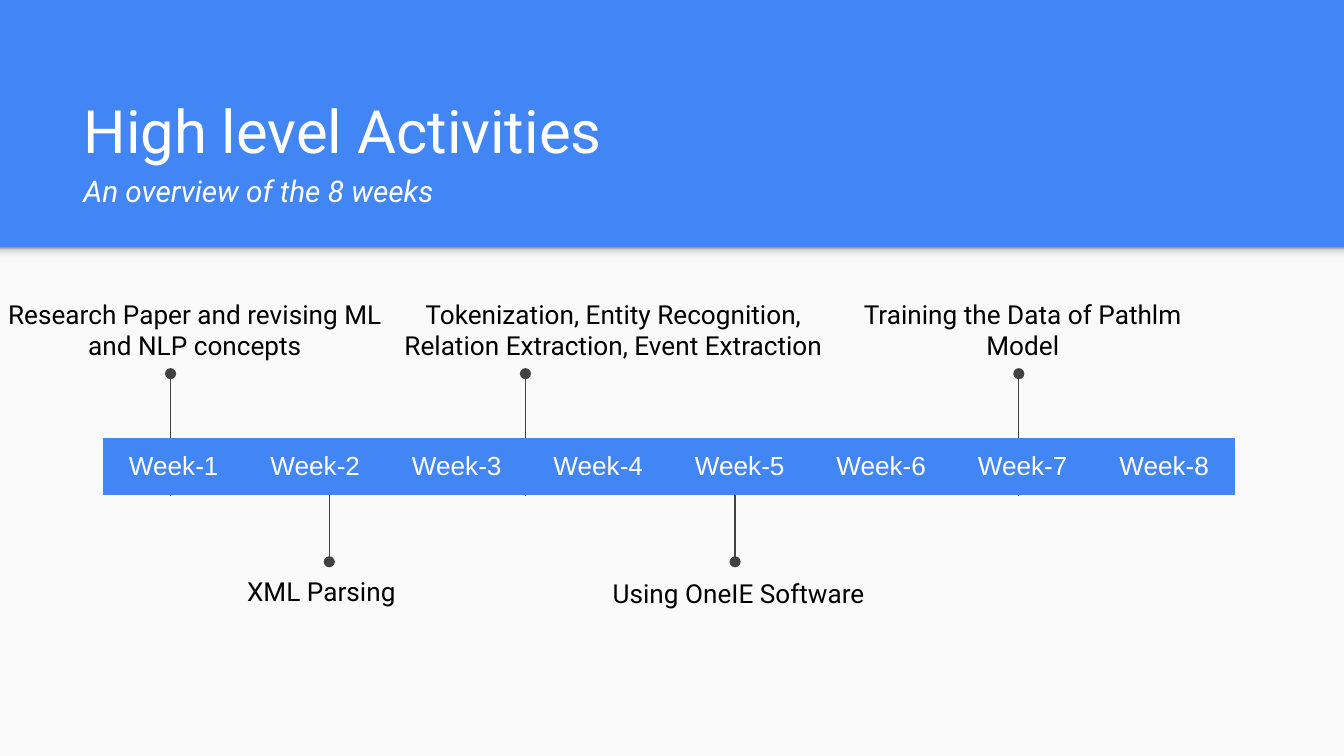
"""Build a slide with an eight-week timeline of high level activities."""
from dataclasses import dataclass

from lxml.etree import SubElement
from pptx import Presentation
from pptx.dml.color import RGBColor as Rgb
from pptx.enum.shapes import MSO_CONNECTOR as Conn, MSO_SHAPE as Kind
from pptx.enum.text import MSO_ANCHOR as Anchor, MSO_AUTO_SIZE as Fit, PP_ALIGN as Align
from pptx.oxml.ns import qn
from pptx.util import Pt

HUES = {"blue": "4285F4", "pale": "FAFAFA", "white": "FFFFFF", "black": "000000", "gray": "424242"}
SHADE = [(0, "F9F9F9"), (36, "F9F9F9"), (80, "DEDEDE"), (100, "999999")]
WIDE, HIGH, EDGE = 720, 405, 132.5
WEEKS, STEP, LEFT, TOP, ROW = 8, 75.8, 55.2, 234.7, 30.5
ABOVE, BELOW = (265.7, 200.2), (TOP, 301)


@dataclass
class Event:
    text: str
    x: float
    ends: tuple[float, float]
    box: tuple[float, float, float, float]
    align: Align = Align.CENTER


EVENTS = [
    Event("Research Paper and revising ML\nand NLP concepts", 91.4, ABOVE, (-18.7, 152.6, 246.2, 48)),
    Event("XML Parsing", 176.4, BELOW, (125.3, 301, 102.2, 31.7), Align.LEFT),
    Event("Tokenization, Entity Recognition, Relation Extraction, Event Extraction",
          281.5, ABOVE, (203, 152.6, 251.3, 48)),
    Event("Using OneIE Software", 393.8, BELOW, (321.1, 302, 164.9, 31.7), Align.LEFT),
    Event("Training the Data of Pathlm Model", 545.8, ABOVE, (442.1, 152.6, 211.7, 48)),
]


def hue(name: str) -> Rgb:
    return Rgb.from_string(HUES[name])


def style(para, size: float, color: str, align: Align, face: str = "Roboto") -> None:
    para.alignment = align
    para.font.size, para.font.name = Pt(size), face
    para.font.color.rgb = hue(color)


def pad(frame) -> None:
    frame.margin_left = frame.margin_right = Pt(7.2)
    frame.margin_top = frame.margin_bottom = Pt(7.2)


def draw_panel(slide) -> None:
    panel, shade = (
        slide.shapes.add_shape(Kind.RECTANGLE, 0, Pt(EDGE), Pt(WIDE), Pt(high))
        for high in (HIGH - EDGE, 8.6)
    )
    for shape in (panel, shade):
        shape.shadow.inherit = False
        shape.line.fill.background()
    panel.fill.solid()
    panel.fill.fore_color.rgb = hue("pale")
    shade.fill.gradient()
    shade.fill.gradient_angle = 90
    stops = shade.element.spPr.find(".//" + qn("a:gsLst"))
    for stop in list(stops):
        stops.remove(stop)
    for place, color in SHADE:
        stop = SubElement(stops, qn("a:gs"), pos=str(place * 1000))
        SubElement(stop, qn("a:srgbClr"), val=color)


def draw_title(slide) -> None:
    title = slide.shapes.title
    title.left, title.top, title.width, title.height = map(Pt, (37.5, 58.3, 647.3, 60.5))
    frame = title.text_frame
    frame.text = "High level Activities\nAn overview of the 8 weeks"
    frame.auto_size, frame.vertical_anchor = Fit.NONE, Anchor.BOTTOM
    pad(frame)
    head, sub = frame.paragraphs
    style(head, 32, "white", Align.LEFT)
    style(sub, 16, "white", Align.LEFT)
    sub.font.italic = True
    sub.space_before = sub.space_after = Pt(4)


def draw_line(slide, event: Event) -> None:
    start, end = event.ends
    line = slide.shapes.add_connector(Conn.STRAIGHT, Pt(event.x), Pt(start), Pt(event.x), Pt(end))
    line.line.color.rgb = hue("gray")
    line.line.width = Pt(0.75)
    props = line.element.spPr
    SubElement(props.find(qn("a:ln")), qn("a:tailEnd"), type="oval")
    SubElement(props, qn("a:effectLst"))


def draw_weeks(slide) -> None:
    table = slide.shapes.add_table(1, WEEKS, Pt(LEFT), Pt(TOP), Pt(STEP * WEEKS), Pt(ROW)).table
    for num, cell in enumerate(table.iter_cells(), 1):
        cell.text = f"Week-{num}"
        cell.fill.solid()
        cell.fill.fore_color.rgb = hue("blue")
        pad(cell)
        para = cell.text_frame.paragraphs[0]
        style(para, 14, "white", Align.CENTER, "Arial")
        para.font.bold = False
        for side in ("a:lnL", "a:lnR", "a:lnT", "a:lnB"):
            edge = cell._tc.tcPr.makeelement(qn(side), {"w": "0"})
            SubElement(edge, qn("a:noFill"))
            cell._tc.tcPr.find(qn("a:solidFill")).addprevious(edge)


def draw_label(slide, event: Event) -> None:
    frame = slide.shapes.add_textbox(*map(Pt, event.box)).text_frame
    frame.text = event.text
    frame.word_wrap, frame.auto_size = True, Fit.SHAPE_TO_FIT_TEXT
    pad(frame)
    for para in frame.paragraphs:
        style(para, 14, "black", event.align)


def main() -> None:
    deck = Presentation()
    deck.slide_width, deck.slide_height = Pt(WIDE), Pt(HIGH)
    slide = deck.slides.add_slide(deck.slide_layouts[5])
    slide.background.fill.solid()
    slide.background.fill.fore_color.rgb = hue("blue")
    draw_panel(slide)
    draw_title(slide)
    for event in EVENTS:
        draw_line(slide, event)
    draw_weeks(slide)
    for event in EVENTS:
        draw_label(slide, event)
    deck.save("out.pptx")


if __name__ == "__main__":
    main()
